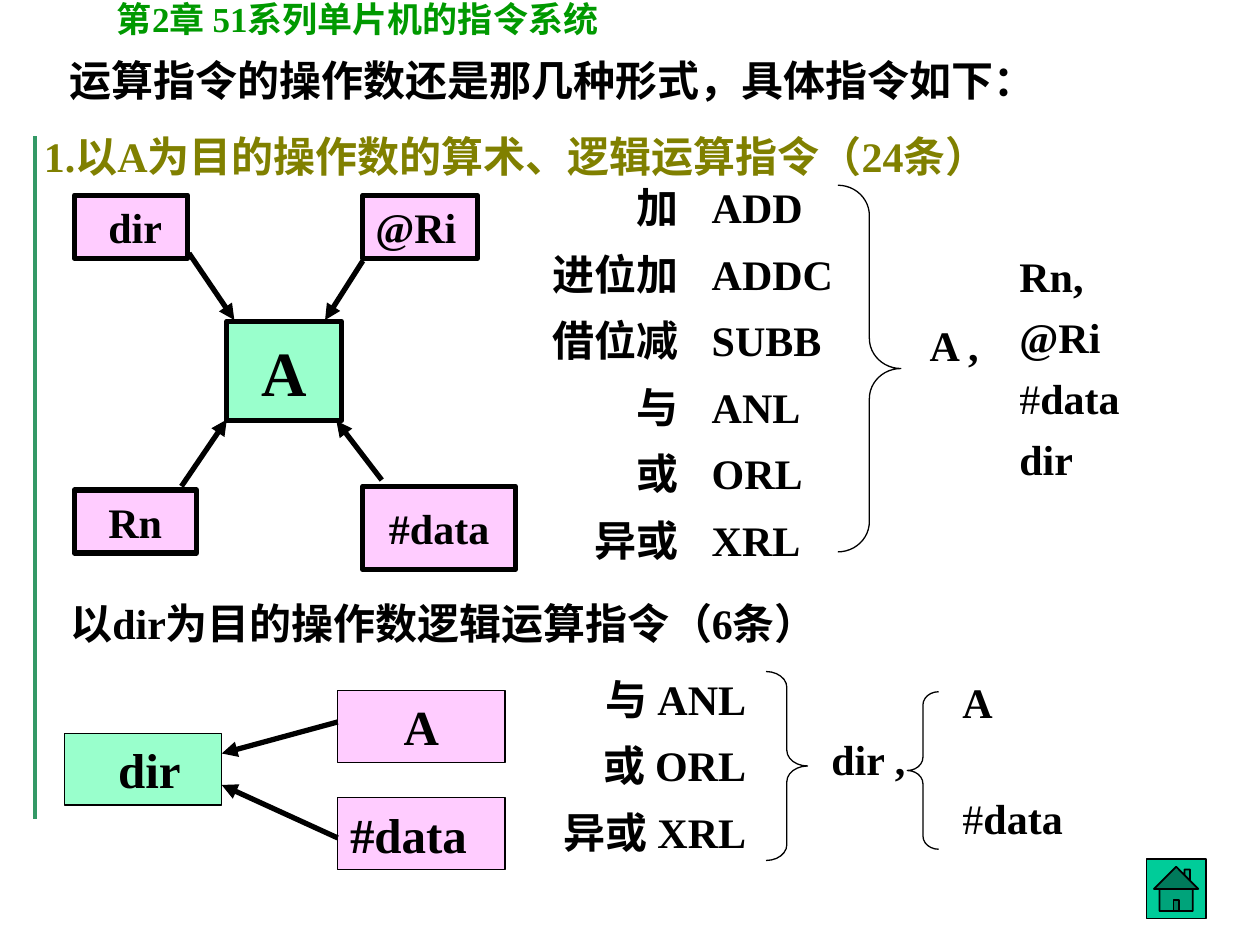
from lxml.etree import SubElement
from pptx import Presentation
from pptx.dml.color import RGBColor
from pptx.enum.shapes import MSO_CONNECTOR as Connector, MSO_SHAPE as Shape
from pptx.enum.text import MSO_ANCHOR as Anchor, PP_ALIGN as Align
from pptx.oxml.ns import qn
from pptx.util import Inches, Pt

BLACK = RGBColor(0x00, 0x00, 0x00)
PINK = RGBColor(0xFF, 0xCC, 0xFF)
MINT = RGBColor(0x99, 0xFF, 0xCC)
TEAL = RGBColor(0x00, 0xCC, 0x99)
SEA_GREEN = RGBColor(0x33, 0x99, 0x66)
GREEN = RGBColor(0x00, 0x99, 0x00)
OLIVE = RGBColor(0x80, 0x80, 0x00)

COLUMNS, ROWS = 100, 75
FONT = "Times New Roman"
HASH_DATA = [("#", False), ("data", True)]


class SlideBuilder:
    """Draws on one slide; every length is in grid columns and rows."""

    def __init__(self, presentation, layout):
        self.column = presentation.slide_width / COLUMNS
        self.row = presentation.slide_height / ROWS
        self.slide = presentation.slides.add_slide(layout)
        self.shapes = self.slide.shapes

    def area(self, left, top, width, height):
        return (round(left * self.column), round(top * self.row),
                round(width * self.column), round(height * self.row))

    def fill_text(self, shape, lines, size=24, color=BLACK, align=Align.LEFT,
                  anchor=Anchor.TOP, before=0, spacing=1.0, wrap=True, inset=0.1):
        """Each line is a string, or a list of (text, bold) runs."""
        frame = shape.text_frame
        frame.word_wrap = wrap
        frame.vertical_anchor = anchor
        frame.margin_left, frame.margin_right = Inches(inset), Inches(0.1)
        frame.margin_top = frame.margin_bottom = Inches(0.05)
        for index, line in enumerate(lines):
            paragraph = frame.paragraphs[0] if index == 0 else frame.add_paragraph()
            paragraph.alignment = align
            paragraph.line_spacing = spacing
            paragraph.space_before = Pt(before if index else 0)
            for text, bold in [(line, True)] if isinstance(line, str) else line:
                run = paragraph.add_run()
                run.text = text
                run.font.name, run.font.size = FONT, Pt(size)
                run.font.bold, run.font.color.rgb = bold, color

    def text(self, area, *lines, **style):
        self.fill_text(self.shapes.add_textbox(*self.area(*area)), lines, **style)

    def placeholder(self, index, area, *lines, **style):
        shape = self.slide.placeholders[index]
        shape.left, shape.top, shape.width, shape.height = self.area(*area)
        self.fill_text(shape, lines, **style)
        for paragraph in shape.text_frame.paragraphs:
            properties = paragraph._p.get_or_add_pPr()
            properties.set("marL", "0")
            properties.set("indent", "0")
            SubElement(properties, qn("a:buNone"))

    def preset(self, kind, area, fill=None, line=0.75):
        shape = self.shapes.add_shape(kind, *self.area(*area))
        shape.shadow.inherit = False
        if fill is None:
            shape.fill.background()
        else:
            shape.fill.solid()
            shape.fill.fore_color.rgb = fill
        shape.line.color.rgb, shape.line.width = BLACK, Pt(line)
        return shape

    def box(self, area, label, fill=PINK, line=3, align=Align.CENTER, **style):
        shape = self.preset(Shape.RECTANGLE, area, fill, line)
        self.fill_text(shape, [label], align=align, anchor=Anchor.MIDDLE, **style)

    def brace(self, kind, area, curve):
        self.preset(kind, area).adjustments[0] = curve

    def line(self, start, end, color=BLACK, width=3, arrow=True):
        x1, y1, x2, y2 = self.area(*start, *end)
        connector = self.shapes.add_connector(Connector.STRAIGHT, x1, y1, x2, y2)
        connector.line.color.rgb, connector.line.width = color, Pt(width)
        properties = connector._element.spPr
        if arrow:
            SubElement(properties.find(qn("a:ln")), qn("a:tailEnd"), type="triangle")
        SubElement(properties, qn("a:effectLst"))


def draw_headings(builder):
    builder.line((2.8, 10.8), (2.8, 65), SEA_GREEN, 2.25, arrow=False)
    builder.text((8.3, -0.7, 57.5, 4.4), "第2章 51系列单片机的指令系统", size=20, color=GREEN)
    builder.placeholder(0, (2.9, 4.4, 78.6, 4.4),
                        "运算指令的操作数还是那几种形式，具体指令如下：",
                        align=Align.CENTER, spacing=0.85, wrap=False)
    builder.text((2.5, 9.9, 97.5, 5), "1.以A为目的操作数的算术、逻辑运算指令（24条）", color=OLIVE)
    builder.text((4.6, 46.9, 64.4, 5), "以dir为目的操作数逻辑运算指令（6条）", wrap=False)


def draw_accumulator_part(builder):
    for start, end in [((15, 20.1), (18.6, 25.4)), ((14.4, 38.6), (18, 33.3)),
                       ((28.8, 20.7), (25.8, 25.4)), ((30.3, 38.1), (26.7, 33.4))]:
        builder.line(start, end)
    builder.box((5.9, 15.5, 9, 5), "dir", align=Align.LEFT, inset=0.27)
    builder.box((28.8, 15.5, 9.1, 5), "@Ri", align=Align.LEFT)
    builder.box((5.9, 38.9, 9.7, 5), "Rn", align=Align.LEFT, inset=0.27)
    builder.box((28.8, 38.6, 12.1, 6.6), "#data", wrap=False)
    builder.box((18, 25.5, 9.1, 7.9), "A", fill=MINT, size=36)

    table_style = dict(before=15, spacing=0.8)
    builder.text((39, 14.7, 15.8, 30.6), "加", "进位加", "借位减", "与", "或", "异或",
                 align=Align.RIGHT, **table_style)
    builder.text((55.5, 14.7, 14.2, 30.6), "ADD", "ADDC", "SUBB", "ANL", "ORL", "XRL",
                 **table_style)
    builder.brace(Shape.RIGHT_BRACE, (66.5, 14.7, 5, 29.1), 0.48)
    builder.text((72.8, 24.9, 8.3, 5), "A ,")
    builder.placeholder(1, (79.9, 19.4, 10.9, 19.4), "Rn,", "@Ri", HASH_DATA, "dir", before=6)


def draw_direct_part(builder):
    builder.box((26.8, 54.8, 13.3, 5.7), "A", line=0.75, size=28)
    builder.box((26.8, 63.3, 13.3, 5.7), "#data", line=0.75, size=28, align=Align.LEFT)
    builder.box((5.1, 58.2, 12.5, 5.7), "dir", fill=MINT, line=0.75, size=28, inset=0.2)
    builder.line((26.8, 57.3), (17.6, 59.8))
    builder.line((26.8, 66.5), (17.6, 62.3))

    builder.text((42.1, 53.7, 18.1, 14.8), "与 ANL", "或 ORL", "异或 XRL",
                 align=Align.RIGHT, before=15, spacing=0.8)
    builder.brace(Shape.RIGHT_BRACE, (60.8, 53.3, 3.3, 15), 0.38)
    builder.text((65, 57.7, 10.8, 5), "dir ,")
    builder.brace(Shape.LEFT_BRACE, (72, 54.9, 2.5, 12.5), 0.42)
    builder.text((75.4, 53.2, 10, 5), "A")
    builder.text((75.4, 62.4, 17.5, 5), HASH_DATA)


def main():
    presentation = Presentation()
    presentation.slide_width, presentation.slide_height = Inches(10), Inches(7.5)
    builder = SlideBuilder(presentation, presentation.slide_layouts[1])
    draw_headings(builder)
    draw_accumulator_part(builder)
    draw_direct_part(builder)
    builder.preset(Shape.ACTION_BUTTON_HOME, (91, 68.2, 4.7, 4.7), TEAL, 1)
    presentation.save("out.pptx")


if __name__ == "__main__":
    main()
